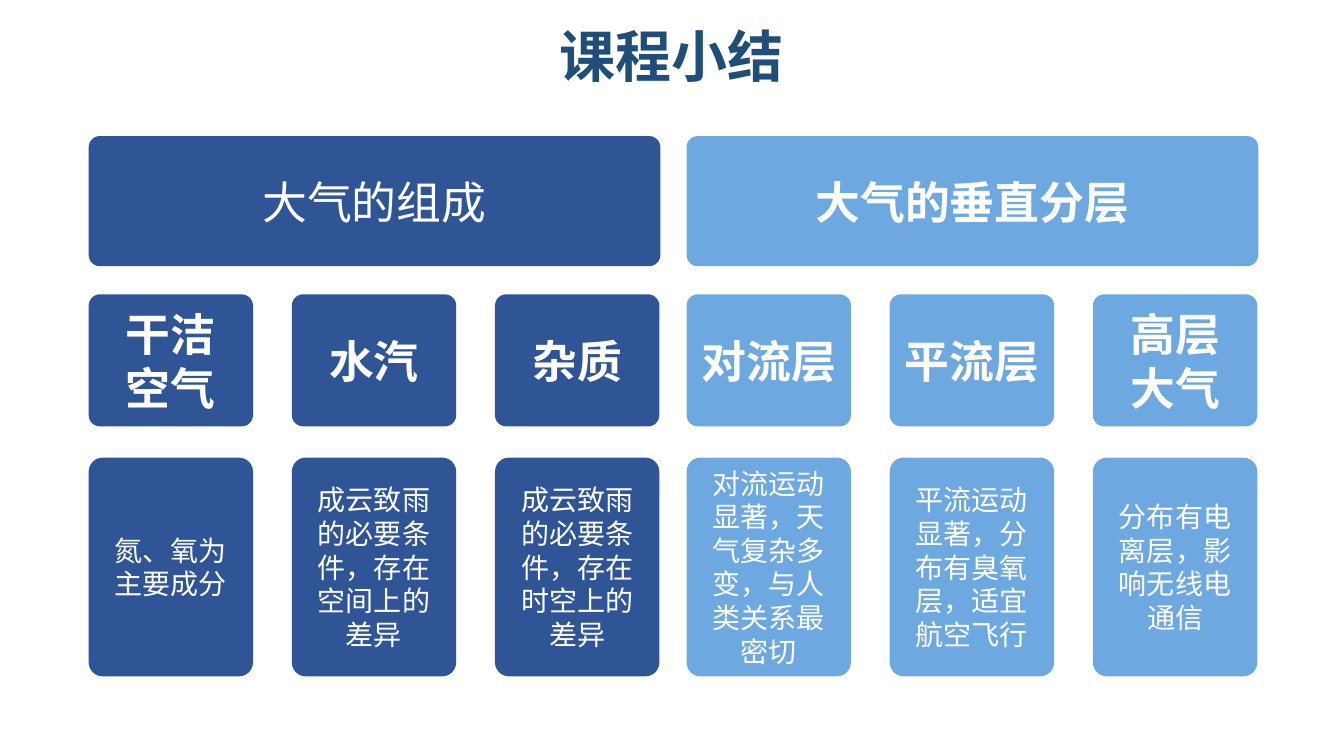
from lxml import etree
from pptx import Presentation
from pptx.dml.color import RGBColor
from pptx.enum.shapes import MSO_SHAPE
from pptx.enum.text import MSO_ANCHOR, PP_ALIGN
from pptx.oxml.ns import qn
from pptx.util import Inches, Pt

ROUND = MSO_SHAPE.ROUNDED_RECTANGLE
MIDDLE = MSO_ANCHOR.MIDDLE
CENTER = PP_ALIGN.CENTER

THEME = {
    "font": "Arial",
    "title": "1F4E79",
    "text": "FFFFFF",
    "dark": "2F5597",
    "light": "6DA9E0",
    "title_size": 40,
    "head_size": 32,
    "note_size": 20,
}

# Grid: left edge of each half, column step and the rows (top, height)
LEFTS = (0.88, 6.81)
STEP = 2.015
WIDE, CARD = 5.67, 1.63
HEAD, NAME, NOTE = (1.35, 1.29), (2.92, 1.31), (4.54, 2.17)

HALVES = [
    ("dark", "大气的组成", False, [
        ("干洁\n空气", "氮、氧为主要成分"),
        ("水汽", "成云致雨的必要条件，存在空间上的差异"),
        ("杂质", "成云致雨的必要条件，存在时空上的差异"),
    ]),
    ("light", "大气的垂直分层", True, [
        ("对流层", "对流运动显著，天气复杂多变，与人类关系最密切"),
        ("平流层", "平流运动显著，分布有臭氧层，适宜航空飞行"),
        ("高层\n大气", "分布有电离层，影响无线电通信"),
    ]),
]

deck = Presentation()
deck.slide_width, deck.slide_height = Inches(13.33), Inches(7.5)
slide = deck.slides.add_slide(deck.slide_layouts[6])


def write(frame, text, size, color, bold):
    frame.word_wrap = True
    for i, line in enumerate(text.split("\n")):
        para = frame.paragraphs[0] if i == 0 else frame.add_paragraph()
        para.alignment = CENTER
        run = para.add_run()
        run.text = line
        font = run.font
        font.name = THEME["font"]
        font.size = Pt(THEME[size])
        font.bold = bold
        font.color.rgb = RGBColor.from_string(THEME[color])
        # Same typeface for the Chinese glyphs
        east = etree.Element(qn("a:ea"), typeface=THEME["font"])
        run._r.rPr.find(qn("a:latin")).addnext(east)


def add_card(left, row, width, fill, text, size, bold):
    top, height = row
    card = slide.shapes.add_shape(
        ROUND, Inches(left), Inches(top), Inches(width), Inches(height))
    card.adjustments[0] = 0.085
    card.shadow.inherit = False
    card.fill.solid()
    card.fill.fore_color.rgb = RGBColor.from_string(THEME[fill])
    card.line.fill.background()
    card.text_frame.vertical_anchor = MIDDLE
    write(card.text_frame, text, size, "text", bold)


# Title
title = slide.shapes.add_textbox(
    Inches(0.72), Inches(0.24), Inches(11.88), Inches(0.63))
write(title.text_frame, "课程小结", "title_size", "title", True)
title.text_frame.paragraphs[0].line_spacing = 0.9

# Two halves: a head above three columns of name and note
for left, (fill, head, bold, cols) in zip(LEFTS, HALVES):
    add_card(left, HEAD, WIDE, fill, head, "head_size", bold)
    for i, (name, note) in enumerate(cols):
        x = left + i * STEP
        add_card(x, NAME, CARD, fill, name, "head_size", True)
        add_card(x, NOTE, CARD, fill, note, "note_size", False)

deck.save("out.pptx")
